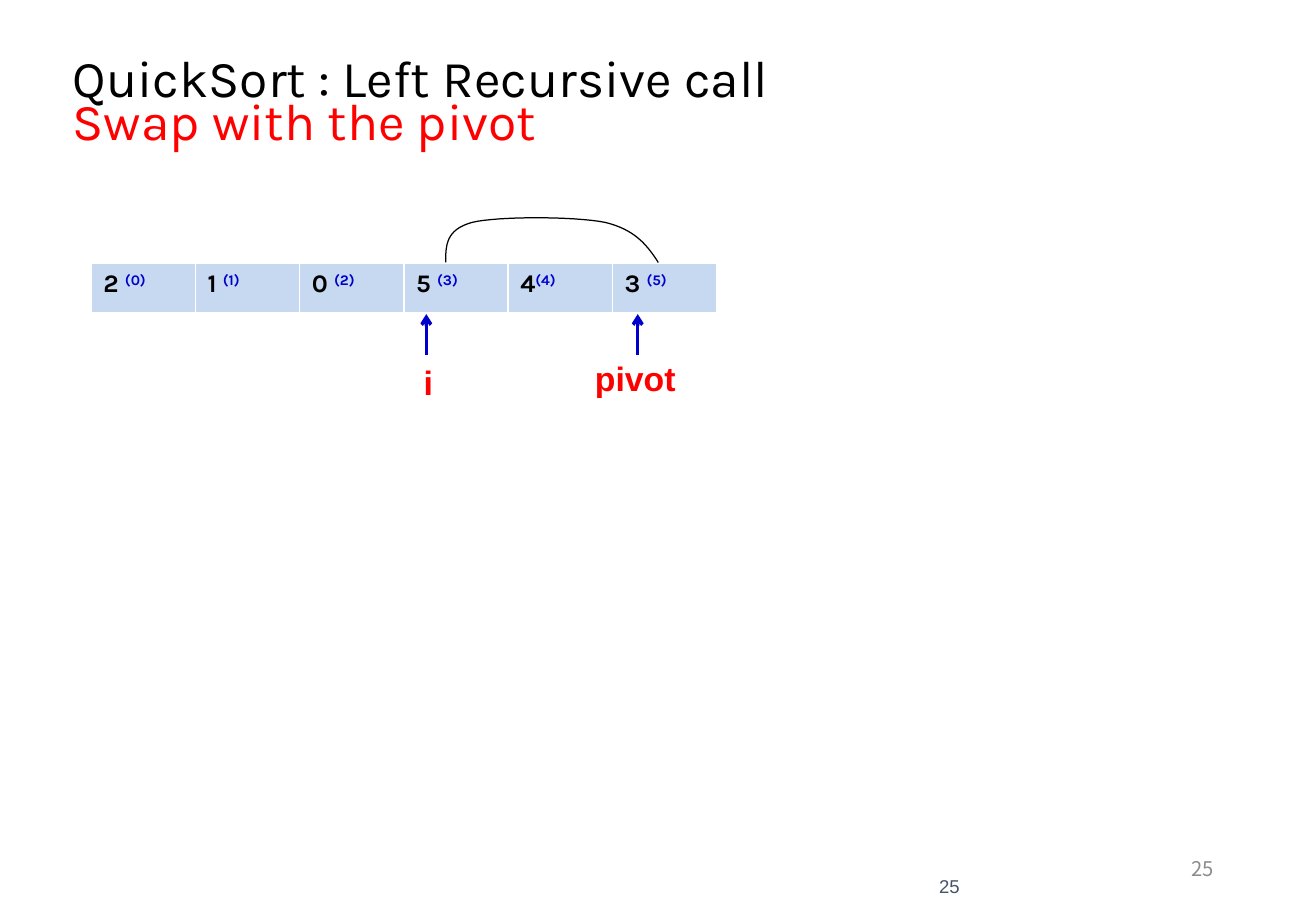
from lxml import etree
from pptx import Presentation
from pptx.dml.color import RGBColor
from pptx.enum.shapes import MSO_CONNECTOR
from pptx.enum.text import MSO_ANCHOR, MSO_AUTO_SIZE, PP_ALIGN
from pptx.oxml.ns import qn
from pptx.util import Pt

STRAIGHT = MSO_CONNECTOR.STRAIGHT
TOP, MIDDLE = MSO_ANCHOR.TOP, MSO_ANCHOR.MIDDLE
LEFT, RIGHT = PP_ALIGN.LEFT, PP_ALIGN.RIGHT
FIT_SHAPE = MSO_AUTO_SIZE.SHAPE_TO_FIT_TEXT

BLACK = RGBColor(0, 0, 0)
WHITE = RGBColor(255, 255, 255)
RED = RGBColor(255, 0, 0)
BLUE = RGBColor(0, 0, 204)
CELL_BLUE = RGBColor(0xC6, 0xD9, 0xF1)
GRAY = RGBColor(0x8C, 0x8C, 0x8C)
SLATE = RGBColor(0x44, 0x54, 0x6A)

VALUES = ["2 ", "1 ", "0 ", "5 ", "4", "3 "]
BORDERS = [("lnL", 1), ("lnR", 1), ("lnT", 1), ("lnB", 3)]
SWAP_CURVES = [
    [(126, 27.4), (119.5, 17.3), (112.3, 7.9), (94.3, 3.6)],
    [(94.3, 3.6), (75.6, 0), (31, 0), (15.8, 3.6)],
    [(15.8, 3.6), (0, 7.9), (0, 17.3), (0, 27.4)],
]
CURVE_STEPS = 16


def add_run(p, text, font, size, color, bold=False):
    r = p.add_run()
    r.text = text
    r.font.name = font
    r.font.size = Pt(size)
    r.font.color.rgb = color
    r.font.bold = bold
    return r


def add_box(s, x, y, w, h, anchor=TOP, align=LEFT):
    tf = s.shapes.add_textbox(Pt(x), Pt(y), Pt(w), Pt(h)).text_frame
    tf.word_wrap = True
    tf.vertical_anchor = anchor
    p = tf.paragraphs[0]
    p.alignment = align
    return tf, p


def add_title(s, x, y, w, h):
    tf, p = add_box(s, x, y, w, h, MIDDLE)
    p.line_spacing = 0.7
    add_run(p, "QuickSort : Left Recursive call", "Karla", 30.6, BLACK)
    p.add_line_break()
    add_run(p, "Swap with the pivot", "Karla", 30.6, RED)


def add_number(s, x, y, w, h, font, size, color):
    tf, p = add_box(s, x, y, w, h, MIDDLE, RIGHT)
    add_run(p, "25", font, size, color)


def set_borders(cell):
    tc_pr = cell._tc.get_or_add_tcPr()
    for tag, width in BORDERS:
        ln = etree.SubElement(tc_pr, qn("a:" + tag), w=str(Pt(width)))
        fill = etree.SubElement(ln, qn("a:solidFill"))
        etree.SubElement(fill, qn("a:srgbClr"), val=str(WHITE))


def add_array(s, x, y, w, h):
    table = s.shapes.add_table(1, len(VALUES), Pt(x), Pt(y), Pt(w), Pt(h)).table
    for i, value in enumerate(VALUES):
        table.columns[i].width = Pt(w / len(VALUES))
        cell = table.cell(0, i)
        set_borders(cell)
        cell.fill.solid()
        cell.fill.fore_color.rgb = CELL_BLUE
        p = cell.text_frame.paragraphs[0]
        add_run(p, value, "Karla", 15, BLACK, True)
        index = add_run(p, f"({i})", "Karla", 15, BLUE, True)
        index.font._element.set("baseline", "30000")


def add_pointer(s, x, y, length, label, label_x, label_y, label_w):
    arrow = s.shapes.add_connector(STRAIGHT, Pt(x), Pt(y + length), Pt(x), Pt(y))
    arrow.line.color.rgb = BLUE
    arrow.line.width = Pt(2)
    etree.SubElement(arrow.line._get_or_add_ln(), qn("a:tailEnd"), type="arrow")
    etree.SubElement(arrow._element.spPr, qn("a:effectLst"))
    tf, p = add_box(s, label_x, label_y, label_w, 31)
    tf.auto_size = FIT_SHAPE
    add_run(p, label, "Arial", 20, RED, True)


def curve_point(curve, t):
    weights = [(1 - t) ** 3, 3 * t * (1 - t) ** 2, 3 * t ** 2 * (1 - t), t ** 3]
    return [sum(k * pt[axis] for k, pt in zip(weights, curve)) for axis in (0, 1)]


def add_swap_arc(s, x, y):
    points = [SWAP_CURVES[0][0]]
    for curve in SWAP_CURVES:
        points += [curve_point(curve, n / CURVE_STEPS) for n in range(1, CURVE_STEPS + 1)]
    points = [(Pt(x + dx), Pt(y + dy)) for dx, dy in points]
    builder = s.shapes.build_freeform(*points[0])
    builder.add_line_segments(points[1:], close=False)
    sp = builder.convert_to_shape()
    sp.shadow.inherit = False
    sp.fill.background()
    sp.line.color.rgb = BLACK
    sp.line.width = Pt(0.75)


def main():
    prs = Presentation()
    prs.slide_width, prs.slide_height = Pt(780), Pt(540)
    s = prs.slides.add_slide(prs.slide_layouts[6])
    add_number(s, 550.8, 500.4, 175.7, 28.8, "Noto Sans CJK SC", 12, GRAY)
    add_title(s, 36, 29.8, 570, 66.2)
    add_array(s, 54, 156.2, 370.8, 30.2)
    add_pointer(s, 252.7, 186.2, 24, "i", 244.1, 211, 22)
    add_pointer(s, 378, 186.2, 24, "pivot", 345.6, 208.8, 66)
    add_swap_arc(s, 264.2, 128.2)
    add_number(s, 529.9, 516.2, 46.1, 18, "Arial", 11, SLATE)
    prs.save("out.pptx")


if __name__ == "__main__":
    main()
